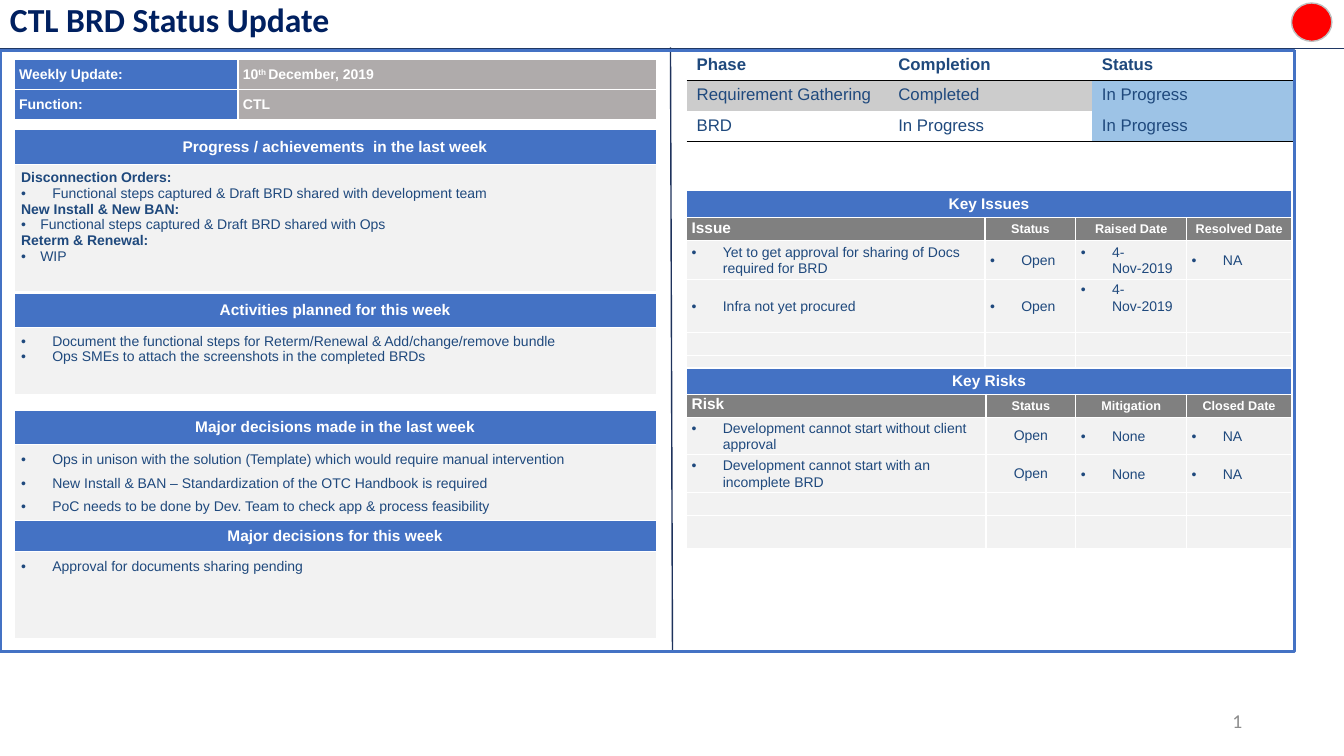
"""Build the CTL BRD weekly status slide."""
from dataclasses import dataclass, replace
from typing import Optional

from lxml import etree
from pptx import Presentation
from pptx.dml.color import RGBColor
from pptx.enum.shapes import MSO_CONNECTOR, MSO_SHAPE
from pptx.enum.text import MSO_ANCHOR, PP_ALIGN
from pptx.oxml.ns import qn
from pptx.util import Inches, Pt

LEFT, CENTER, RIGHT = PP_ALIGN.LEFT, PP_ALIGN.CENTER, PP_ALIGN.RIGHT
TOP, MIDDLE = MSO_ANCHOR.TOP, MSO_ANCHOR.MIDDLE
STRAIGHT = MSO_CONNECTOR.STRAIGHT
RECTANGLE, OVAL = MSO_SHAPE.RECTANGLE, MSO_SHAPE.OVAL

WHITE = RGBColor(0xFF, 0xFF, 0xFF)
BLACK = RGBColor(0x00, 0x00, 0x00)
NAVY = RGBColor(0x00, 0x20, 0x60)
RULE_NAVY = RGBColor(0x20, 0x38, 0x64)
DIVIDER_NAVY = RGBColor(0x1E, 0x32, 0x5C)
TEXT_BLUE = RGBColor(0x1F, 0x49, 0x7D)
BLUE = RGBColor(0x44, 0x72, 0xC4)
LIGHT_BLUE = RGBColor(0x9D, 0xC3, 0xE6)
RED = RGBColor(0xFF, 0x00, 0x00)
PALE = RGBColor(0xF2, 0xF2, 0xF2)
SILVER = RGBColor(0xCC, 0xCC, 0xCC)
RING_GRAY = RGBColor(0xBF, 0xBF, 0xBF)
WARM_GRAY = RGBColor(0xAF, 0xAB, 0xAB)
HEADER_GRAY = RGBColor(0x80, 0x80, 0x80)
NUMBER_GRAY = RGBColor(0x8C, 0x8C, 0x8C)


@dataclass(frozen=True)
class Para:
    text: str
    size: float = 10
    color: RGBColor = TEXT_BLUE
    bold: bool = False
    align: PP_ALIGN = LEFT
    indent: float = 0
    spacing: Optional[float] = None
    before: float = 0
    superscript: str = ""
    tail: str = ""
    font: str = "Arial"


@dataclass(frozen=True)
class Cell:
    paras: tuple[Para, ...] = ()
    fill: Optional[RGBColor] = PALE
    insets: tuple[float, float, float, float] = (0.05, 0.02, 0.05, 0.02)
    anchor: MSO_ANCHOR = MIDDLE
    borders: tuple[Optional[RGBColor], ...] = (WHITE,) * 4


@dataclass(frozen=True)
class Panel:
    top: float
    heading: str
    heights: tuple[float, float]
    paras: tuple[Para, ...]


@dataclass(frozen=True)
class Log:
    top: float
    title: str
    headers: tuple[str, ...]
    widths: tuple[float, ...]
    heights: tuple[float, ...]
    entries: tuple[tuple[Cell, ...], ...]


def write(frame, paras: tuple[Para, ...]) -> None:
    for index, para in enumerate(paras):
        line = frame.add_paragraph() if index else frame.paragraphs[0]
        line.alignment = para.align
        line.space_before = Pt(para.before)
        if para.spacing:
            line.line_spacing = para.spacing if para.spacing < 2 else Pt(para.spacing)
        if para.indent:
            props = line._p.get_or_add_pPr()
            props.set("marL", str(Inches(para.indent)))
            props.set("indent", str(-Inches(para.indent)))
            etree.SubElement(props, qn("a:buFont"), typeface="Arial")
            etree.SubElement(props, qn("a:buChar"), char="•")
        for text in filter(None, (para.text, para.superscript, para.tail)):
            run = line.add_run()
            run.text = text
            run.font.name, run.font.size = para.font, Pt(para.size)
            run.font.bold, run.font.color.rgb = para.bold, para.color
            if text == para.superscript:
                run._r.get_or_add_rPr().set("baseline", "30000")


def add_borders(cell, colors: tuple[Optional[RGBColor], ...]) -> None:
    props = cell._tc.get_or_add_tcPr()
    for index, (side, color) in enumerate(zip("LRTB", colors)):
        edge = etree.Element(qn(f"a:ln{side}"), w=str(Pt(1)))
        paint = etree.SubElement(edge, qn("a:solidFill" if color is not None else "a:noFill"))
        if color is not None:
            etree.SubElement(paint, qn("a:srgbClr"), val=str(color))
        props.insert(index, edge)


def draw_table(slide, left: float, top: float, widths: tuple[float, ...],
               heights: tuple[float, ...], rows: list[tuple[Cell, ...]]) -> None:
    table = slide.shapes.add_table(len(heights), len(widths), Inches(left), Inches(top),
                                   Inches(sum(widths)), Inches(sum(heights))).table
    table.first_row = table.horz_banding = False
    for column, width in zip(table.columns, widths):
        column.width = Inches(width)
    for r, (height, cells) in enumerate(zip(heights, rows)):
        table.rows[r].height = Inches(height)
        for c, content in enumerate(cells):
            cell = table.cell(r, c)
            if len(cells) < len(widths):
                cell.merge(table.cell(r, len(widths) - 1))
            (cell.margin_left, cell.margin_top,
             cell.margin_right, cell.margin_bottom) = map(Inches, content.insets)
            cell.vertical_anchor = content.anchor
            if content.fill is None:
                cell.fill.background()
            else:
                cell.fill.solid()
                cell.fill.fore_color.rgb = content.fill
            add_borders(cell, content.borders)
            write(cell.text_frame, content.paras)
            if not content.paras:
                etree.SubElement(cell.text_frame.paragraphs[0]._p, qn("a:endParaRPr"), sz="900")


def heading(text: str) -> Cell:
    return Cell((Para(text, 11, WHITE, True, CENTER),), BLUE)


def bullet(text: str) -> Para:
    return Para(text, indent=0.31, spacing=12, before=5)


def item(text: str) -> Cell:
    return Cell((bullet(text),))


def draw_panel(slide, panel: Panel) -> None:
    body = Cell(panel.paras, insets=(0.07, 0.06, 0.11, 0.06), anchor=TOP)
    draw_table(slide, 0.14, panel.top, (6.37,), panel.heights, [(heading(panel.heading),), (body,)])


def draw_log(slide, log: Log) -> None:
    first = Cell((Para(log.headers[0], 11, WHITE, True, spacing=0.8),), HEADER_GRAY)
    others = (Cell((Para(name, 9, WHITE, True, CENTER, before=2),), HEADER_GRAY)
              for name in log.headers[1:])
    empty = (Cell(),) * 4
    draw_table(slide, 6.81, log.top, log.widths, log.heights,
               [(heading(log.title),), (first, *others), *log.entries, empty, empty])


def draw_phases(slide) -> None:
    phases = (("Phase", "Completion", "Status"),
              ("Requirement Gathering", "Completed", "In Progress"),
              ("BRD", "In Progress", "In Progress"))
    fills = ((None,) * 3, (SILVER, SILVER, LIGHT_BLUE), (None, None, LIGHT_BLUE))
    edges = ((BLACK, BLACK), (BLACK, None), (None, BLACK))
    rows = [tuple(Cell((Para(text, 12, bold=r == 0),), fill, (0.1, 0.05, 0.1, 0.05), TOP,
                       (None, None, *edges[r])) for text, fill in zip(texts, fills[r]))
            for r, texts in enumerate(phases)]
    draw_table(slide, 6.81, 0.5, (2, 2.02, 2.02), (0.29,) * 3, rows)


def draw_summary(slide) -> None:
    label = Para("Weekly Update:", color=WHITE, bold=True, before=2)
    date = replace(label, text="10", superscript="th ", tail="December, 2019")
    pairs = ((label, date), (replace(label, text="Function:"), replace(label, text="CTL")))
    rows = [(Cell((name,), BLUE), Cell((value,), WARM_GRAY)) for name, value in pairs]
    draw_table(slide, 0.14, 0.59, (2.22, 4.15), (0.3, 0.3), rows)


def draw_text(slide, box: tuple[float, ...], para: Para) -> None:
    frame = slide.shapes.add_textbox(*map(Inches, box)).text_frame
    frame.word_wrap, frame.vertical_anchor = True, MIDDLE
    write(frame, (para,))


def draw_line(slide, ends: tuple[float, ...], color: RGBColor) -> None:
    line = slide.shapes.add_connector(STRAIGHT, *map(Inches, ends))
    line.line.color.rgb, line.line.width = color, Pt(1)
    etree.SubElement(line._element.spPr, qn("a:effectLst"))


def draw_shape(slide, kind: MSO_SHAPE, box: tuple[float, ...], fill: Optional[RGBColor],
               outline: RGBColor, weight: float) -> None:
    shape = slide.shapes.add_shape(kind, *map(Inches, box))
    shape.shadow.inherit = False
    if fill is None:
        shape.fill.background()
    else:
        shape.fill.solid()
        shape.fill.fore_color.rgb = fill
    shape.line.color.rgb, shape.line.width = outline, Pt(weight)


PANELS = (
    Panel(1.28, "Progress / achievements  in the last week", (0.35, 1.26), (
        Para("Disconnection Orders:", bold=True),
        Para("Functional steps captured & Draft BRD shared with development team", indent=0.31),
        Para("New Install & New BAN:", bold=True),
        Para("Functional steps captured & Draft BRD shared with Ops", indent=0.19),
        Para("Reterm & Renewal:", bold=True), Para("WIP", indent=0.19))),
    Panel(2.91, "Activities planned for this week", (0.34, 0.67), (
        Para("Document the functional steps for Reterm/Renewal & Add/change/remove bundle", indent=0.31),
        Para("Ops SMEs to attach the screenshots in the completed BRDs", indent=0.31))),
    Panel(4.07, "Major decisions made in the last week", (0.34, 0.76), (
        bullet("Ops in unison with the solution (Template) which would require manual intervention"),
        bullet("New Install & BAN – Standardization of the OTC Handbook is required"),
        bullet("PoC needs to be done by Dev. Team to check app & process feasibility"))),
    Panel(5.16, "Major decisions for this week", (0.31, 0.87),
          (bullet("Approval for documents sharing pending"),)))
OPEN_RISK = Cell((Para("Open", align=CENTER, before=2),))
LOGS = (
    Log(1.89, "Key Issues", ("Issue", "Status", "Raised Date", "Resolved Date"),
        (2.96, 0.9, 1.1, 1.04), (0.27, 0.23, 0.38, 0.53, 0.23, 0.23),
        ((item("Yet to get approval for sharing of Docs required for BRD"),
          item("Open"), item("4-Nov-2019"), item("NA")),
         (item("Infra not yet procured"), item("Open"),
          replace(item("4-Nov-2019"), anchor=TOP), Cell()))),
    Log(3.65, "Key Risks", ("Risk", "Status", "Mitigation", "Closed Date"),
        (2.97, 0.89, 1.1, 1.04), (0.26, 0.23, 0.37, 0.37, 0.23, 0.33),
        tuple((item(risk), OPEN_RISK, item("None"), item("NA"))
              for risk in ("Development cannot start without client approval",
                           "Development cannot start with an incomplete BRD"))))


def main() -> None:
    deck = Presentation()
    deck.slide_width, deck.slide_height = Inches(13.33), Inches(7.5)
    slide = deck.slides.add_slide(deck.slide_layouts[6])
    draw_text(slide, (0, -0.01, 11.96, 0.44),
              Para("CTL BRD Status Update", 24, NAVY, True, spacing=0.9, font="Calibri"))
    draw_text(slide, (9.42, 6.95, 3, 0.4), Para("1", 14, NUMBER_GRAY, align=RIGHT, font="Calibri"))
    draw_line(slide, (0, 0.48, 13.33, 0.48), RULE_NAVY)
    draw_line(slide, (6.65, 0.47, 6.67, 6.46), DIVIDER_NAVY)
    draw_phases(slide)
    draw_shape(slide, OVAL, (12.81, 0.03, 0.4, 0.38), RED, RING_GRAY, 1)
    draw_summary(slide)
    for panel in PANELS:
        draw_panel(slide, panel)
    draw_shape(slide, RECTANGLE, (0, 0.5, 12.84, 5.96), None, BLUE, 2.25)
    for log in LOGS:
        draw_log(slide, log)
    deck.save("out.pptx")


if __name__ == "__main__":
    main()
